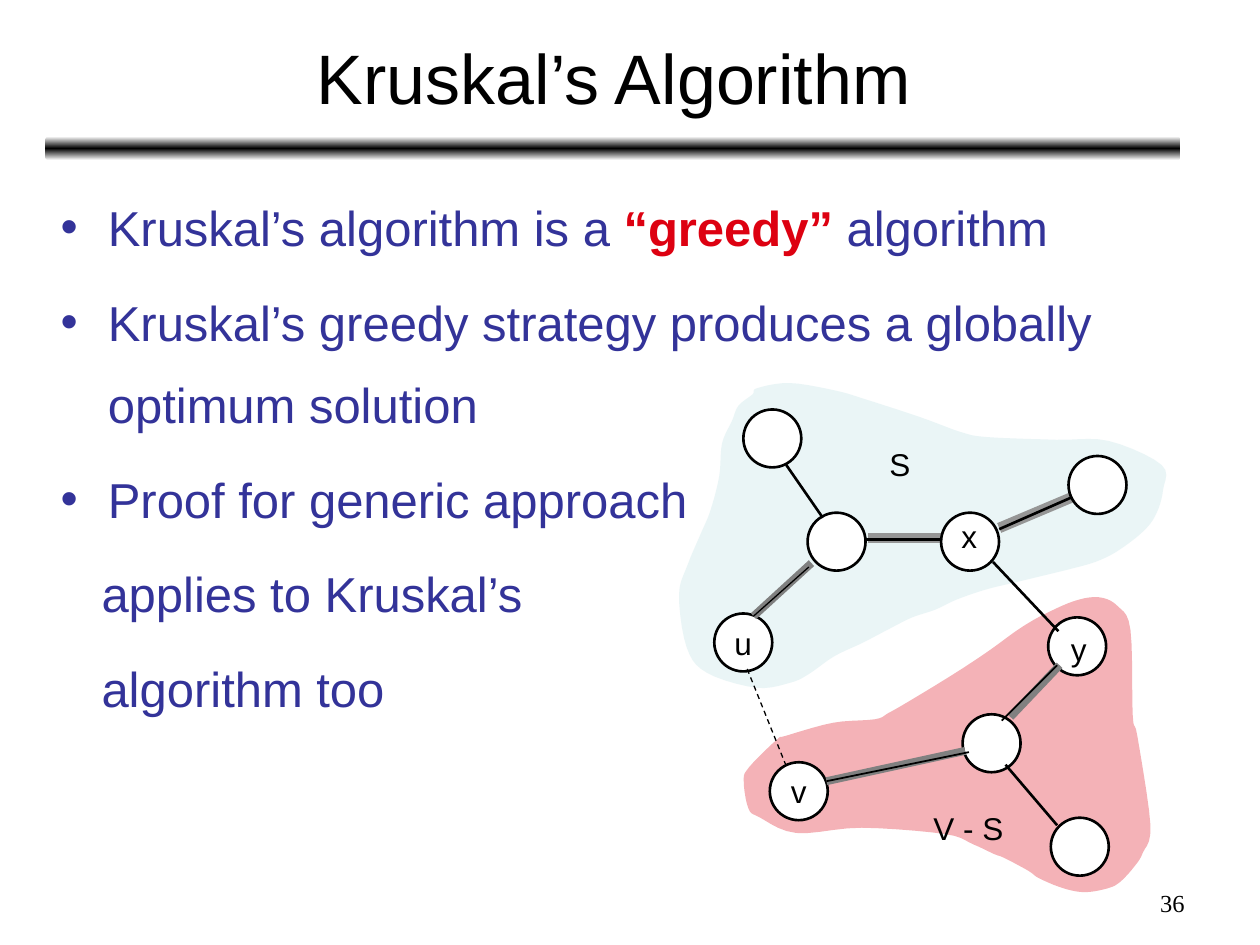
from copy import deepcopy

from lxml import etree
from pptx import Presentation
from pptx import util as u
from pptx.dml.color import RGBColor
from pptx.enum import dml, shapes, text
from pptx.oxml import ns

BLACK, WHITE, NAVY, RED = "000000", "FFFFFF", "333399", "DD0111"
LIGHT_GRAY, DARK_GRAY, TEAL = "969696", "808080", "BBE0E3"


def color(value):
    """Return the colour for a hex string."""
    return RGBColor.from_string(value)


def add_text(paragraph, words, size=18, fill=BLACK, bold=False, font="Arial", align=None):
    """Append a formatted run to a paragraph."""
    run = paragraph.add_run()
    run.text = words
    run.font.size, run.font.name, run.font.bold = u.Pt(size), font, bold
    run.font.color.rgb = color(fill)
    if align is not None:
        paragraph.alignment = align


presentation = Presentation()
presentation.slide_width, presentation.slide_height = u.Pt(720), u.Pt(540)
slide = presentation.slides.add_slide(presentation.slide_layouts[1])
title, body = slide.placeholders
for placeholder, box in ((title, (26.6, 8, 648, 71)), (body, (27.4, 95.8, 648, 399.6))):
    placeholder.left, placeholder.top, placeholder.width, placeholder.height = map(u.Pt, box)
    placeholder.text_frame.auto_size = text.MSO_AUTO_SIZE.NONE

# Title and the bar below it
title.text_frame.vertical_anchor = text.MSO_ANCHOR.MIDDLE
add_text(title.text_frame.paragraphs[0], "Kruskal’s Algorithm", size=40, align=text.PP_ALIGN.CENTER)

bar = slide.shapes.add_shape(
    shapes.MSO_SHAPE.ROUNDED_RECTANGLE, u.Pt(26), u.Pt(78), u.Pt(648.6), u.Pt(13.6))
bar.shadow.inherit = False
bar.line.fill.background()
bar.fill.gradient()
bar.fill.gradient_angle = 90
first_stop = bar._element.spPr.find(".//" + ns.qn("a:gs"))
first_stop.addnext(deepcopy(first_stop))
for stop, position, shade in zip(bar.fill.gradient_stops, (0, 0.5, 1), (WHITE, BLACK, WHITE)):
    stop.position, stop.color.rgb = position, color(shade)

# Bullet list; the last two lines continue the third without a bullet
body_lines = [
    (True, [("Kruskal’s algorithm is a ", NAVY), ("“greedy”", RED), (" algorithm", NAVY)]),
    (True, [("Kruskal’s greedy strategy produces a globally optimum solution", NAVY)]),
    (True, [("Proof for generic approach", NAVY)]),
    (False, [("applies to Kruskal’s", NAVY)]),
    (False, [("algorithm too", NAVY)]),
]
for index, (bulleted, runs) in enumerate(body_lines):
    frame = body.text_frame
    paragraph = frame.add_paragraph() if index else frame.paragraphs[0]
    paragraph.line_spacing, paragraph.space_before = 1.4, u.Pt(7)
    for words, fill in runs:
        add_text(paragraph, words, size=28, fill=fill, bold=fill == RED)
    margin, indent = (27, -27) if bulleted else (23.4, 0)
    properties = paragraph._p.get_or_add_pPr()
    properties.set("marL", str(u.Pt(margin)))
    properties.set("indent", str(u.Pt(indent)))
    if bulleted:
        bullet_color = etree.SubElement(properties, ns.qn("a:buClr"))
        etree.SubElement(bullet_color, ns.qn("a:srgbClr"), val=NAVY)
        etree.SubElement(properties, ns.qn("a:buChar"), char="•")
    else:
        etree.SubElement(properties, ns.qn("a:buNone"))

# Vertex sets: closed smooth curves through their anchor points
graph = slide.shapes.add_group_shape().shapes
rest_outline = [
    (500, 411), (476, 413), (449, 420.5), (444, 422.6), (428, 438.5), (425, 446.4),
    (427.7, 462), (434, 467), (455, 476), (492.5, 473), (540, 476.6), (556, 482.4),
    (568, 488), (574, 490.3), (587.5, 497.5), (594, 502), (607.7, 507.6), (620, 509.8),
    (633, 507.6), (640, 504), (648, 495.4), (653, 487.4), (657.4, 471.6), (650, 421),
    (647.3, 409), (646, 360), (638.6, 346.3), (628, 341.3), (614, 343.4), (596, 351.4),
    (582.5, 359.3), (566.6, 370.8), (553, 380), (538, 389.5), (519, 401), (507.6, 407.5)]
chosen_outline = [
    (430, 225.4), (422, 231.8), (418.3, 240.5), (412.6, 253.4), (411, 272), (406, 291.6),
    (400.3, 305.3), (393, 322.6), (388, 340), (392.4, 370), (404, 384.5), (432, 393),
    (451.4, 390.2), (462.2, 385.2), (476.6, 375.1), (493.2, 367.2), (508.3, 359.3),
    (521.3, 352.8), (534.2, 348.5), (546.5, 342.7), (563, 337), (581, 332.6),
    (613.4, 324.7), (627.8, 320.4), (640, 314), (654, 303), (661, 293), (664.6, 280),
    (663.8, 265.7), (633.6, 252), (603.4, 251.3), (564.5, 249.8), (549.4, 247),
    (525.6, 238.3), (494.6, 228.2), (477.4, 223.2), (451.4, 218.9), (432.7, 221.8)]
STEPS = 5
for outline, fill in ((rest_outline, RED), (chosen_outline, TEAL)):
    curve = []
    for index in range(len(outline)):
        neighbours = [outline[(index + offset) % len(outline)] for offset in (-1, 0, 1, 2)]
        for t in (step / STEPS for step in range(STEPS)):
            curve.append(tuple(
                u.Pt(b + t / 2 * (c - a + t * (2*a - 5*b + 4*c - d + t * (3*b - a - 3*c + d))))
                for a, b, c, d in zip(*neighbours)))
    builder = graph.build_freeform(*curve[0])
    builder.add_line_segments(curve[1:], close=True)
    region = builder.convert_to_shape()
    region.shadow.inherit = False
    region.line.fill.background()
    region.fill.solid()
    region.fill.fore_color.rgb = color(fill)
    fill_value = region._element.spPr.find(".//" + ns.qn("a:srgbClr"))
    etree.SubElement(fill_value, ns.qn("a:alpha"), val="30000")

# Edges, with the ones to be drawn under the vertices first
under_edges = [
    (496.1, 307.4, 537.8, 307.4, LIGHT_GRAY, 6), (571, 301.7, 612, 284.4, LIGHT_GRAY, 6)]
over_edges = [
    (494.6, 308.2, 537.8, 308.2, BLACK, 1.5), (449.3, 265.7, 470.2, 295.9, BLACK, 1.5),
    (571, 302.4, 612, 284.4, BLACK, 1.5), (567.4, 321.1, 604.8, 360.7, BLACK, 1.5),
    (574.6, 437, 604.1, 471.6, BLACK, 1.5),
    (472.3, 446.4, 551.5, 429.1, DARK_GRAY, 4.5), (577.4, 409.7, 605.5, 380.2, DARK_GRAY, 4.5),
    (463.7, 321.8, 430.6, 352.1, DARK_GRAY, 4.5),
    (430.6, 352.1, 462.2, 324, BLACK, 0.75), (472.3, 446.4, 553.7, 429.8, BLACK, 1),
    (604.1, 380.2, 572.4, 411.8, BLACK, 1), (427, 382.3, 449.3, 437.8, BLACK, 0.75)]
vertices = [
    (600.5, 467.3, ""), (408.2, 350.6, "u"), (461.5, 293, ""), (537.8, 293, ""),
    (610.6, 260.6, ""), (599, 352.8, ""), (424.8, 234, ""), (550.1, 408.2, ""),
    (439.9, 435.6, "v")]
DIAMETER = 33.1
for edges, circles in ((under_edges, vertices), (over_edges, [])):
    for *ends, stroke, width in edges:
        edge = graph.add_connector(shapes.MSO_CONNECTOR.STRAIGHT, *map(u.Pt, ends))
        edge.line.color.rgb, edge.line.width = color(stroke), u.Pt(width)
        etree.SubElement(edge._element.spPr, ns.qn("a:effectLst"))
    for left, top, name in circles:
        vertex = graph.add_shape(
            shapes.MSO_SHAPE.OVAL, u.Pt(left), u.Pt(top), u.Pt(DIAMETER), u.Pt(DIAMETER))
        vertex.shadow.inherit = False
        vertex.fill.solid()
        vertex.fill.fore_color.rgb = color(WHITE)
        vertex.line.color.rgb, vertex.line.width = color(BLACK), u.Pt(1.5)
        if name:
            vertex.text_frame.word_wrap = False
            add_text(vertex.text_frame.paragraphs[0], name, align=text.PP_ALIGN.CENTER)
edge.line.dash_style = dml.MSO_LINE.DASH

# Labels and page number
labels = [
    (graph, "S", 501.1, 250.6, 26, 29), (graph, "V - S", 526.3, 458.6, 62, 29),
    (graph, "x", 542.2, 291.6, 23, 29), (graph, "y", 604.8, 356.4, 23, 29),
    (slide.shapes, "36", 516.2, 504, 167.8, 25.2)]
for parent, words, *box in labels:
    label = parent.add_textbox(*map(u.Pt, box))
    paragraph = label.text_frame.paragraphs[0]
    if words == "36":
        label.text_frame.word_wrap = True
        add_text(paragraph, words, size=14, font="Times New Roman", align=text.PP_ALIGN.RIGHT)
    else:
        label.text_frame.word_wrap = False
        add_text(paragraph, words, align=text.PP_ALIGN.LEFT)

presentation.save("out.pptx")
